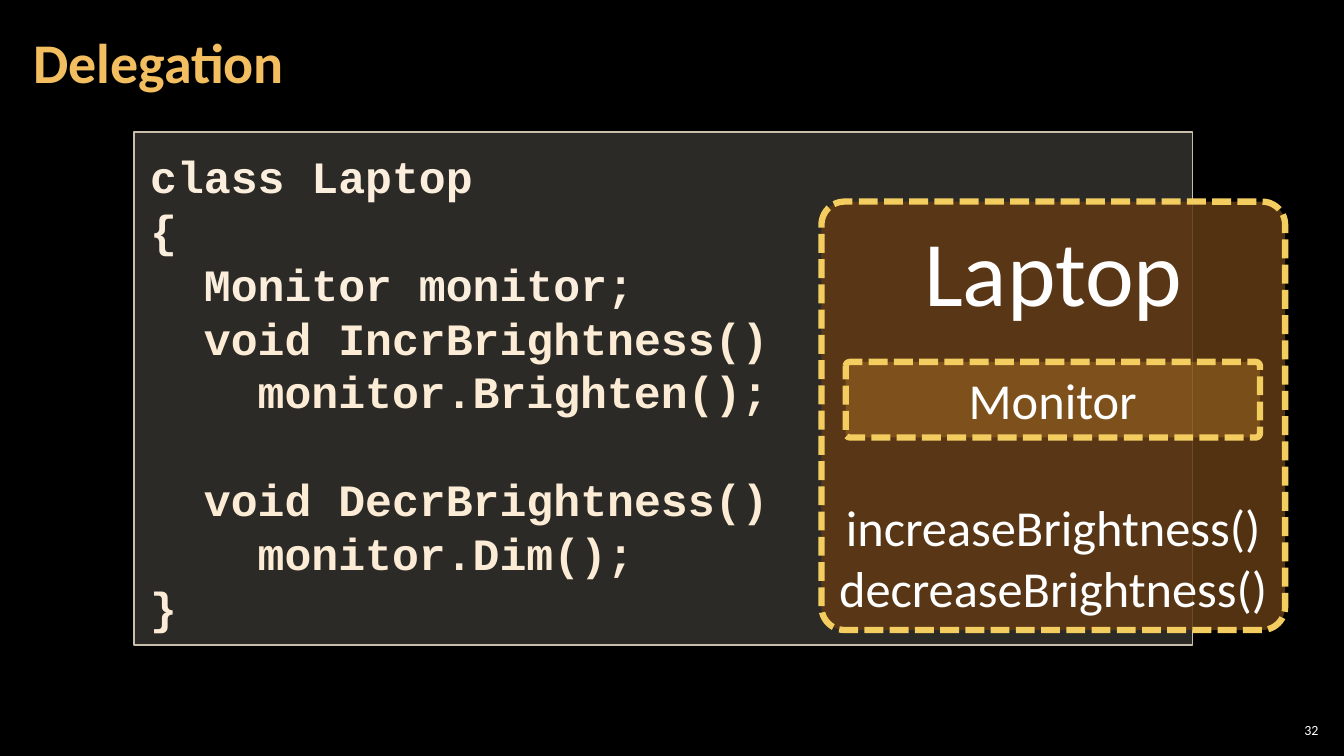
from dataclasses import dataclass

from lxml.etree import SubElement
from pptx import Presentation
from pptx.dml.color import RGBColor as Rgb
from pptx.enum.dml import MSO_LINE_DASH_STYLE as Dash
from pptx.enum.shapes import MSO_SHAPE as Preset
from pptx.enum.text import MSO_ANCHOR as Anchor, PP_ALIGN as Align
from pptx.oxml.ns import qn
from pptx.util import Pt


@dataclass(frozen=True)
class Theme:
    background: str = "000000"
    title: str = "F3BE60"
    white: str = "FFFFFF"
    code_fill: str = "D9D5C7"
    code_border: str = "C7BFAC"
    declaration: str = "FBEEDC"
    method: str = "FCECD5"
    card_fill: str = "603A14"
    part_fill: str = "F0A22E"
    dashes: str = "F3CD60"
    text_font: str = "Calibri"
    code_font: str = "Courier New"
    title_size: float = 40
    code_size: float = 32
    code_pitch: float = 38.4
    class_size: float = 66
    member_size: float = 36
    number_size: float = 10


THEME = Theme()


@dataclass(frozen=True)
class Box:
    left: float
    top: float
    width: float
    height: float

    def lengths(self) -> tuple:
        return Pt(self.left), Pt(self.top), Pt(self.width), Pt(self.height)


@dataclass(frozen=True)
class Line:
    text: str
    size: float
    color: str = THEME.white
    font: str = THEME.text_font
    bold: bool = False
    align: Align = Align.CENTER
    level: int = 0
    before: float = 0
    pitch: float | None = None


@dataclass(frozen=True)
class Panel:
    preset: Preset
    box: Box
    fill: str
    opacity: int
    border: str
    border_width: float
    lines: list[Line]
    dashed: bool = False
    anchor: Anchor = Anchor.MIDDLE
    inset: tuple[float, float] = (7.2, 3.6)


def code(text: str, level: int = 0, color: str = THEME.method, before: float = 0) -> Line:
    return Line(text, THEME.code_size, color, THEME.code_font, True, Align.LEFT,
                level, before, THEME.code_pitch)


def write(frame, lines: list[Line], anchor: Anchor, inset: tuple[float, float]) -> None:
    frame.word_wrap = True
    frame.vertical_anchor = anchor
    frame.margin_left = frame.margin_right = Pt(inset[0])
    frame.margin_top = frame.margin_bottom = Pt(inset[1])
    for index, line in enumerate(lines):
        paragraph = frame.add_paragraph() if index else frame.paragraphs[0]
        paragraph.text = line.text
        paragraph.alignment = line.align
        paragraph.space_before = Pt(line.before)
        if line.pitch:
            paragraph.line_spacing = Pt(line.pitch)
        if line.level:
            indent = Pt(line.level * THEME.code_pitch)
            paragraph._p.get_or_add_pPr().set("marL", str(indent))
        font = paragraph.font
        font.name, font.size, font.bold = line.font, Pt(line.size), line.bold
        font.color.rgb = Rgb.from_string(line.color)


def draw_panel(shapes, panel: Panel) -> None:
    shape = shapes.add_shape(panel.preset, *panel.box.lengths())
    shape.shadow.inherit = False
    if panel.preset == Preset.ROUNDED_RECTANGLE:
        shape.adjustments[0] = 0.054
    shape.fill.solid()
    shape.fill.fore_color.rgb = Rgb.from_string(panel.fill)
    color = shape._element.spPr.find(qn("a:solidFill"))[0]
    SubElement(color, qn("a:alpha")).set("val", str(panel.opacity * 1000))
    shape.line.color.rgb = Rgb.from_string(panel.border)
    shape.line.width = Pt(panel.border_width)
    if panel.dashed:
        shape.line.dash_style = Dash.SQUARE_DOT
    write(shape.text_frame, panel.lines, panel.anchor, panel.inset)


LISTING = Panel(
    Preset.RECTANGLE, Box(95.76, 94.32, 756, 366.48),
    THEME.code_fill, 20, THEME.code_border, 1,
    [
        code("class Laptop", color=THEME.declaration),
        code("{", color=THEME.declaration),
        code("Monitor monitor;", 1, THEME.declaration),
        code("void IncrBrightness()", 1),
        code("monitor.Brighten();", 2),
        code("void DecrBrightness()", 1, before=THEME.code_pitch),
        code("monitor.Dim();", 2),
        code("}"),
    ],
    anchor=Anchor.BOTTOM, inset=(11.52, 8.64),
)

LAPTOP_DIAGRAM = [
    Panel(
        Preset.ROUNDED_RECTANGLE, Box(586.8, 144, 331.2, 306),
        THEME.card_fill, 87, THEME.dashes, 4.5,
        [
            Line("Laptop", THEME.class_size),
            Line("increaseBrightness()", THEME.member_size, before=122),
            Line("decreaseBrightness()", THEME.member_size),
        ],
        dashed=True,
    ),
    Panel(
        Preset.ROUNDED_RECTANGLE, Box(604.08, 258.48, 295.92, 54),
        THEME.part_fill, 25, THEME.dashes, 4.5,
        [Line("Monitor", THEME.member_size)], dashed=True,
    ),
]


def main() -> None:
    deck = Presentation()
    deck.slide_width, deck.slide_height = Pt(960), Pt(540)
    slide = deck.slides.add_slide(deck.slide_layouts[5])
    slide.background.fill.solid()
    slide.background.fill.fore_color.rgb = Rgb.from_string(THEME.background)

    page_number = slide.shapes.add_textbox(*Box(910.8, 514.08, 33.84, 15.12).lengths())
    write(page_number.text_frame,
          [Line("32", THEME.number_size, align=Align.RIGHT)], Anchor.MIDDLE, (2.88, 2.88))

    title = slide.shapes.title
    title.left, title.top, title.width, title.height = Box(15.12, 2.88, 753.84, 87.12).lengths()
    write(title.text_frame,
          [Line("Delegation", THEME.title_size, THEME.title, bold=True, align=Align.LEFT)],
          Anchor.MIDDLE, (8.64, 2.88))
    title.text_frame.paragraphs[0].line_spacing = 0.9

    draw_panel(slide.shapes, LISTING)
    laptop = slide.shapes.add_group_shape()
    for panel in LAPTOP_DIAGRAM:
        draw_panel(laptop.shapes, panel)
    deck.save("out.pptx")


if __name__ == "__main__":
    main()
